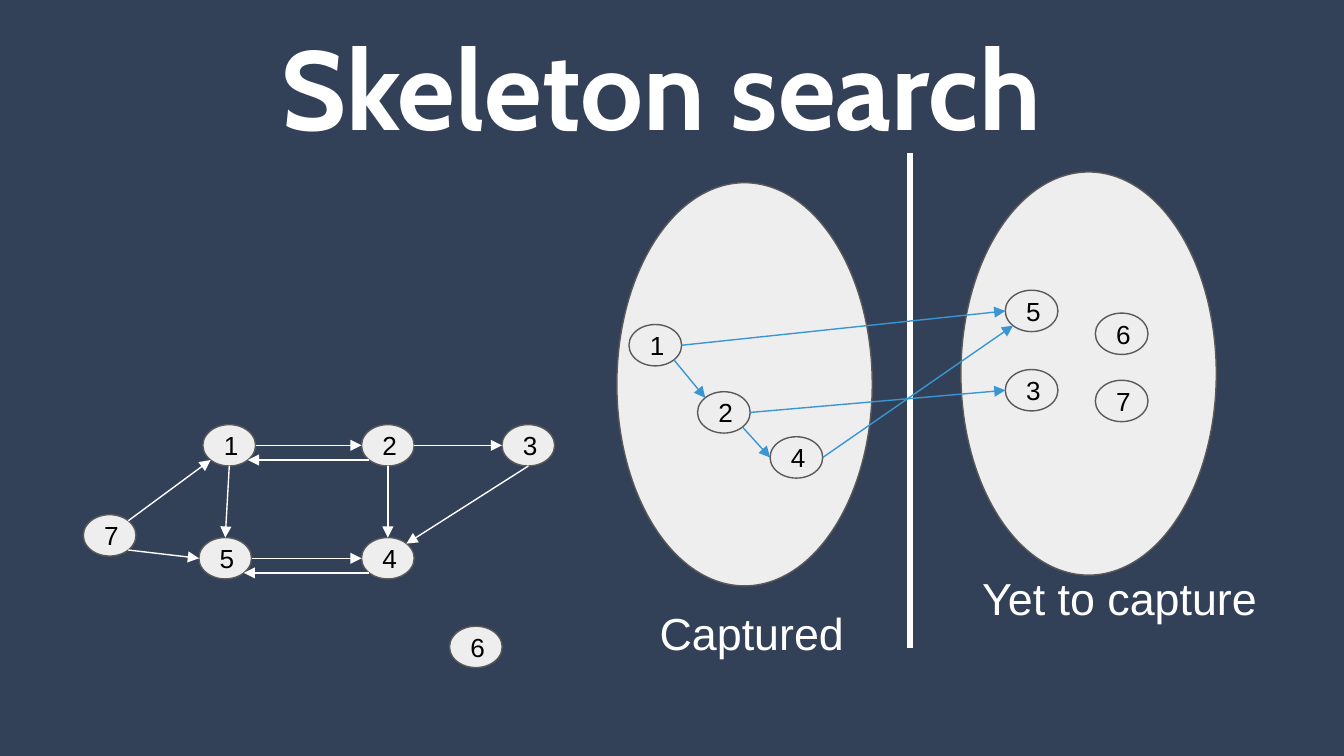
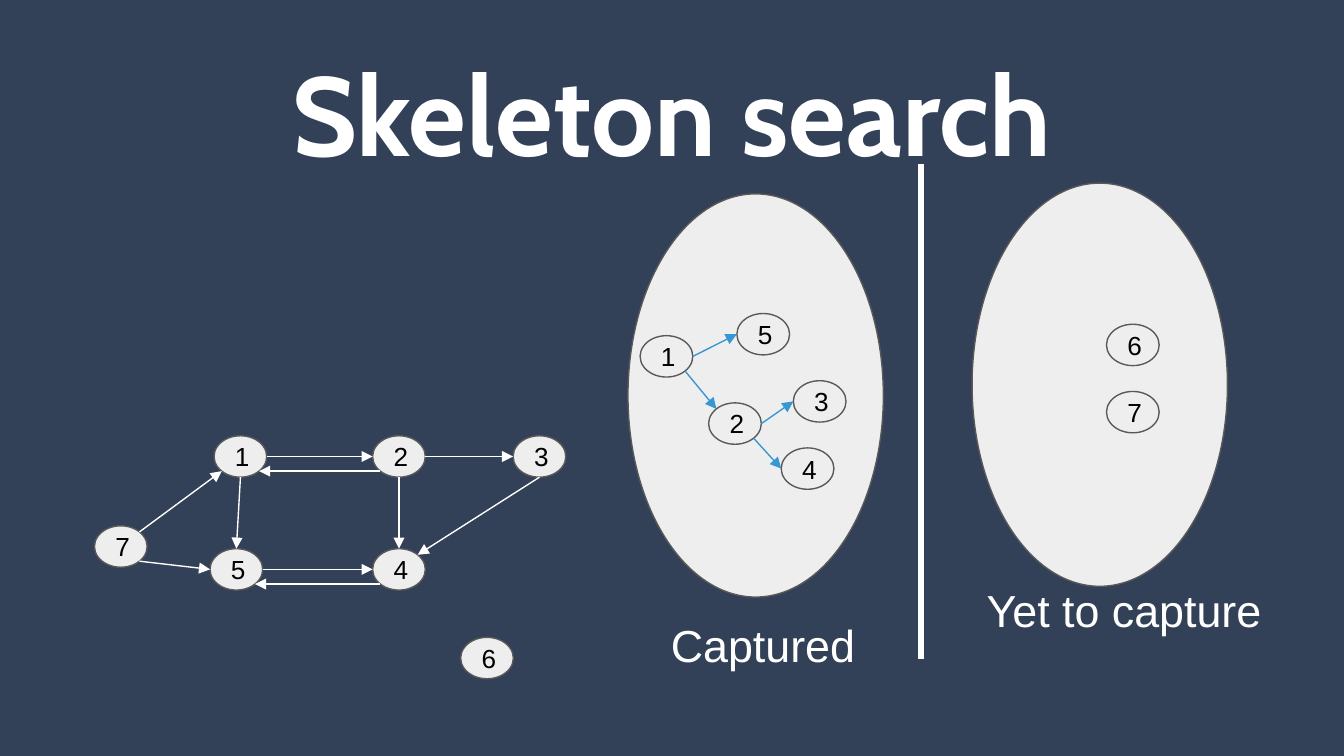
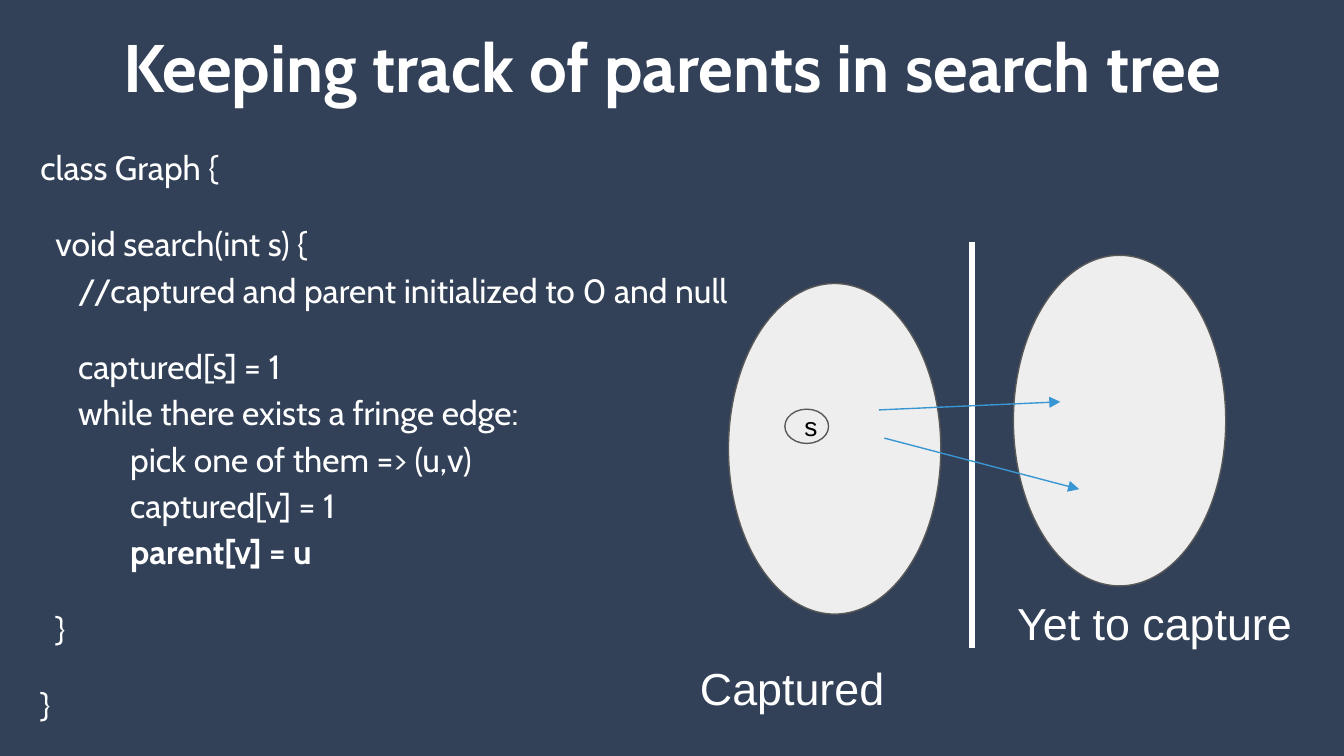
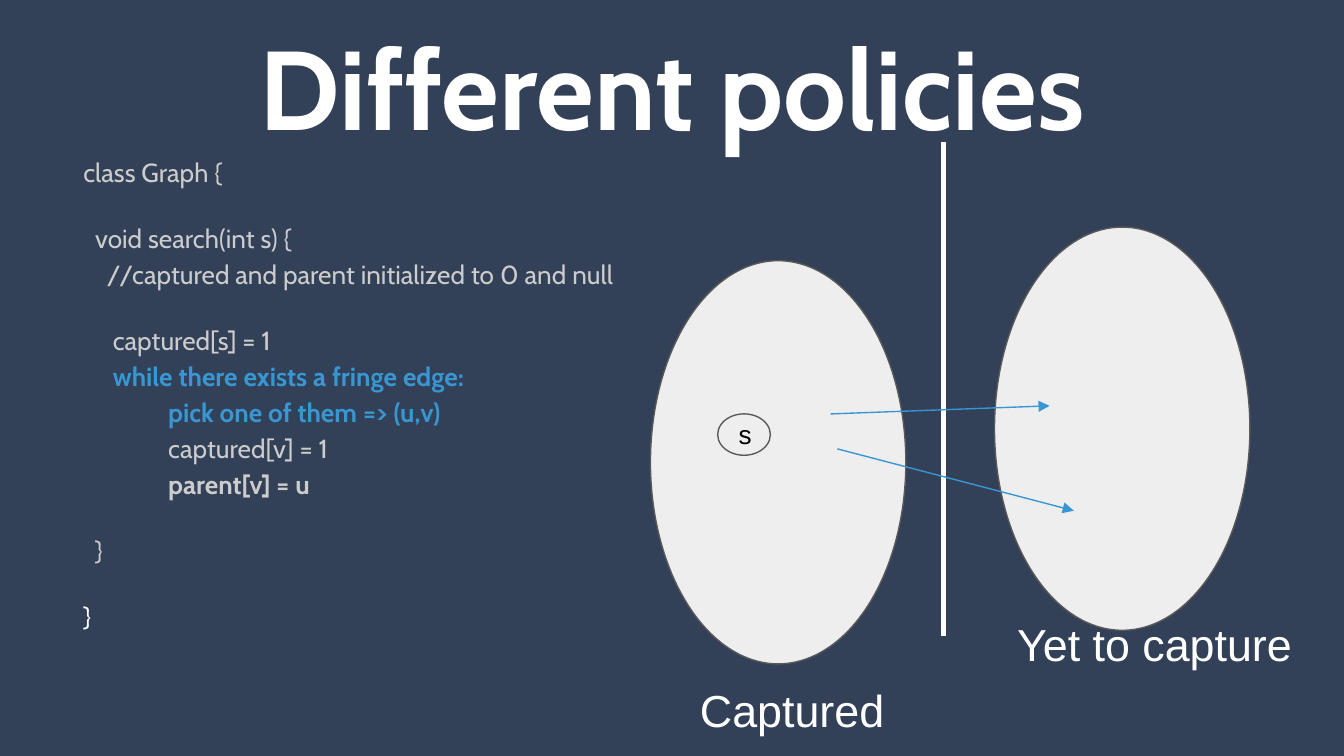
import math

import lxml.etree
import pptx
import pptx.dml.color
import pptx.enum.shapes
import pptx.enum.text
import pptx.oxml.ns
import pptx.util

COLORS = {
    "background": "324158",
    "white": "FFFFFF",
    "oval": "EEEEEE",
    "outline": "595959",
    "black": "000000",
    "blue": "3896D2",
    "grey": "CCCCCC",
}
WIDTH, HEIGHT = 10, 5.625
CELL = pptx.util.Inches(WIDTH / 100)
NODE_SIZE = (3.92, 3.08)
POOL_SIZE = (19, 30)
SHAPES = pptx.enum.shapes.MSO_SHAPE
MIDDLE = pptx.enum.text.MSO_ANCHOR.MIDDLE
TOP = pptx.enum.text.MSO_ANCHOR.TOP
qn = pptx.oxml.ns.qn

TITLE = {"name": "Cabin", "bold": True, "color": "white"}
LABEL = {"name": "Arial", "size": 24, "color": "white"}
NODE = {"name": "Arial", "size": 14, "color": "black"}

GRAPH_NODES = {
    "1": (15.1, 31.6), "2": (26.9, 31.6), "3": (37.35, 31.6),
    "7": (6.2, 38.3), "5": (14.8, 40), "4": (26.9, 40), "6": (33.45, 46.6),
}
GRAPH_EDGES = [
    ("1", 6, "2", 2), ("2", 3, "1", 5), ("2", 6, "3", 2), ("2", 4, "4", 0),
    ("3", 4, "4", 7), ("5", 6, "4", 2), ("4", 3, "5", 5), ("7", 7, "1", 3),
    ("7", 5, "5", 2), ("1", 4, "5", 0),
]
SEARCH_NODES = {
    "1": (46.8, 24.15), "2": (51.9, 29.15), "4": (57.3, 32.5),
    "6": (81.5, 23.3), "7": (81.5, 28.3),
}
SEARCH_EDGES = [("1", 5, "2", 1), ("1", 6, "5", 2), ("2", 6, "3", 2), ("2", 5, "4", 2)]

CODE = [
    ["class Graph {"],
    ["  void search(int s) {", "//captured and parent initialized to 0 and null"],
    [
        "     captured[s] = 1",
        "     while there exists a fringe edge:",
        "\t   pick one of them => (u,v)",
        "\t   captured[v] = 1",
        "\t   parent[v] = u",
    ],
    ["  }"],
    ["}"],
]

PAGES = [
    {
        "title": "Skeleton search", "title_size": 60, "title_at": (2.6, -4.3, 93.2, 21.4),
        "shift": 0, "pools": [(45.9, 13.6), (71.5, 12.8)], "pool_size": POOL_SIZE,
        "divider": (67.7, 11.4, 48.2), "captured_at": (48.1, 44.1), "yet_at": (72.1, 41.5),
        "nodes": SEARCH_NODES | {"5": (74.8, 21.6), "3": (74.8, 27.5)},
        "edges": SEARCH_EDGES + [("4", 6, "5", 3)],
    },
    {
        "title": "Skeleton search", "title_size": 60, "title_at": (3.4, -2.4, 93.2, 21.4),
        "shift": 0.83, "pools": [(45.9, 13.6), (71.5, 12.8)], "pool_size": POOL_SIZE,
        "divider": (67.7, 11.4, 48.2), "captured_at": (48.1, 44.1), "yet_at": (71.6, 41.5),
        "nodes": SEARCH_NODES | {"5": (54, 22.5), "3": (58.2, 27.5)},
        "edges": SEARCH_EDGES,
    },
    {
        "title": "Keeping track of parents in search tree", "title_size": 36,
        "title_at": (3.4, -1.5, 93.2, 12.7), "shift": 0,
        "pools": [(54.2, 21.1), (75.4, 19)], "pool_size": (15.8, 24.6),
        "divider": (72.3, 18, 48.2), "captured_at": (51.1, 48.2), "yet_at": (74.7, 43.3),
        "source": (58.4, 30.45, 3.25, 2.55),
        "fringe": [((65.4, 30.5), (78.9, 29.9)), ((65.8, 32.6), (80.3, 36.4))],
        "code_at": (2, 9.5, 93.2, 37.4), "code_size": 18, "code_color": "white",
        "comment_indent": 5, "highlights": (),
    },
    {
        "title": "Different policies", "title_size": 60, "title_at": (3.4, 0.2, 93.2, 12.3),
        "shift": 0, "pools": [(48.4, 19.4), (74, 16.9)], "pool_size": POOL_SIZE,
        "divider": (70.2, 10.6, 47.3), "captured_at": (51.1, 49.8), "yet_at": (74.7, 44.9),
        "source": (53.4, 30.8, *NODE_SIZE),
        "fringe": [((61.8, 30.8), (78.1, 30.2)), ((62.3, 33.4), (79.9, 38))],
        "code_at": (5.2, 10.3, 93.2, 37.4), "code_size": 14, "code_color": "grey",
        "comment_indent": 4, "highlights": ("while", "pick"),
    },
]


def set_text(box, text, style, anchor=TOP):
    frame = box.text_frame
    settings = {
        "word_wrap": True, "auto_size": pptx.enum.text.MSO_AUTO_SIZE.NONE,
        "vertical_anchor": anchor,
    }
    for side in ("left", "right", "top", "bottom"):
        settings[f"margin_{side}"] = CELL
    for name, value in settings.items():
        setattr(frame, name, value)
    for index, lines in enumerate(text):
        para = frame.paragraphs[0] if index == 0 else frame.add_paragraph()
        for number, (line, changes) in enumerate(lines):
            look = style | changes
            if number:
                para.add_line_break()
                lxml.etree.SubElement(
                    para._p.findall(qn("a:br"))[-1], qn("a:rPr"), sz=str(look["size"] * 100)
                )
            span = para.add_run()
            span.text = line
            span.font.name = look["name"]
            span.font.size = pptx.util.Pt(look["size"])
            span.font.bold = look.get("bold", False)
            span.font.color.rgb = pptx.dml.color.RGBColor.from_string(COLORS[look["color"]])


def add_line(page, start, end, color, weight, arrow=True):
    ends = [round(value * CELL) for value in (*start, *end)]
    line = page.shapes.add_connector(pptx.enum.shapes.MSO_CONNECTOR.STRAIGHT, *ends)
    line.line.color.rgb = pptx.dml.color.RGBColor.from_string(COLORS[color])
    line.line.width = pptx.util.Pt(weight)
    if arrow:
        lxml.etree.SubElement(line.line._get_or_add_ln(), qn("a:tailEnd"), type="triangle")
    lxml.etree.SubElement(line._element.spPr, qn("a:effectLst"))
    return line


deck = pptx.Presentation()
deck.slide_width = pptx.util.Inches(WIDTH)
deck.slide_height = pptx.util.Inches(HEIGHT)
backdrop = deck.slide_master.background.fill
backdrop.solid()
backdrop.fore_color.rgb = pptx.dml.color.RGBColor.from_string(COLORS["background"])

for plan in PAGES:
    has_code = "code_at" in plan
    page = deck.slides.add_slide(deck.slide_layouts[1 if has_code else 5])
    shift = plan["shift"]

    placeholders = [(page.shapes.title, plan["title_at"])]
    if has_code:
        placeholders.append((page.placeholders[1], plan["code_at"]))
    for box, place in placeholders:
        for name, value in zip(("left", "top", "width", "height"), place):
            setattr(box, name, round(value * CELL))

    title_style = TITLE | {"size": plan["title_size"]}
    set_text(page.shapes.title, [[(plan["title"], {})]], title_style, MIDDLE)
    page.shapes.title.text_frame.paragraphs[0].alignment = pptx.enum.text.PP_ALIGN.CENTER

    if has_code:
        body = page.placeholders[1]
        text = []
        for block in CODE:
            lines = []
            for line in block:
                changes = {}
                if line.startswith("//"):
                    line = " " * plan["comment_indent"] + line
                if line.strip().startswith(plan["highlights"]):
                    changes = {"color": "blue", "bold": True}
                elif line.strip().startswith("parent"):
                    changes = {"bold": True}
                elif line == "}":
                    changes = {"color": "white"}
                lines.append((line, changes))
            text.append(lines)
        code_style = {"name": "Cabin", "size": plan["code_size"], "color": plan["code_color"]}
        set_text(body, text, code_style)
        paras = body.text_frame.paragraphs
        for index, para in enumerate(paras):
            properties = para._p.get_or_add_pPr()
            properties.set("marL", "0")
            properties.set("indent", "0")
            lxml.etree.SubElement(properties, qn("a:buNone"))
            tabs = lxml.etree.SubElement(properties, qn("a:tabLst"))
            lxml.etree.SubElement(tabs, qn("a:tab"), pos=str(10 * CELL), algn="l")
            para.line_spacing = 1.15
            para.space_before = pptx.util.Pt(16 if index else 0)
            para.space_after = pptx.util.Pt(16 if index == len(paras) - 1 else 0)

    ovals = [(SHAPES.FLOWCHART_CONNECTOR, None, "", (*at, *plan["pool_size"])) for at in plan["pools"]]
    groups = []
    if has_code:
        ovals.append((SHAPES.OVAL, None, "s", plan["source"]))
    else:
        groups = [
            ("white", GRAPH_NODES, GRAPH_EDGES),
            ("blue", plan["nodes"], plan["edges"]),
        ]
        for color, nodes, edges in groups:
            ovals += [(SHAPES.OVAL, (color, key), key, (*at, *NODE_SIZE)) for key, at in nodes.items()]

    node_shapes = {}
    for kind, key, text, (left, top, width, height) in ovals:
        place = [round(value * CELL) for value in (left + shift, top + shift, width, height)]
        oval = page.shapes.add_shape(kind, *place)
        oval.shadow.inherit = False
        oval.fill.solid()
        oval.fill.fore_color.rgb = pptx.dml.color.RGBColor.from_string(COLORS["oval"])
        oval.line.color.rgb = pptx.dml.color.RGBColor.from_string(COLORS["outline"])
        oval.line.width = pptx.util.Pt(0.75)
        if text:
            set_text(oval, [[(text, {})]], NODE, MIDDLE)
            oval.text_frame.paragraphs[0].alignment = pptx.enum.text.PP_ALIGN.LEFT
        node_shapes[key] = oval

    x, top, bottom = (value + shift for value in plan["divider"])
    add_line(page, (x, top), (x, bottom), "white", 3, arrow=False)

    for label, at, size in (
        ("Captured", plan["captured_at"], (16.3, 5)),
        ("Yet to capture", plan["yet_at"], (25.3, 3.1)),
    ):
        place = (at[0] + shift, at[1] + shift, *size)
        box = page.shapes.add_textbox(*(round(value * CELL) for value in place))
        set_text(box, [[(label, {})]], LABEL)

    for color, nodes, edges in groups:
        for source, source_site, target, target_site in edges:
            ends = []
            for key, site in ((source, source_site), (target, target_site)):
                angle = math.radians(45 * site)
                left, top = nodes[key]
                ends.append((
                    left + shift + NODE_SIZE[0] / 2 * (1 - math.sin(angle)),
                    top + shift + NODE_SIZE[1] / 2 * (1 - math.cos(angle)),
                ))
            arrow = add_line(page, *ends, color, 0.75)
            if target_site == 0:
                arrow.end_connect(node_shapes[color, target], 0)

    for start, end in plan.get("fringe", ()):
        add_line(page, start, end, "blue", 0.75)

deck.save("out.pptx")
